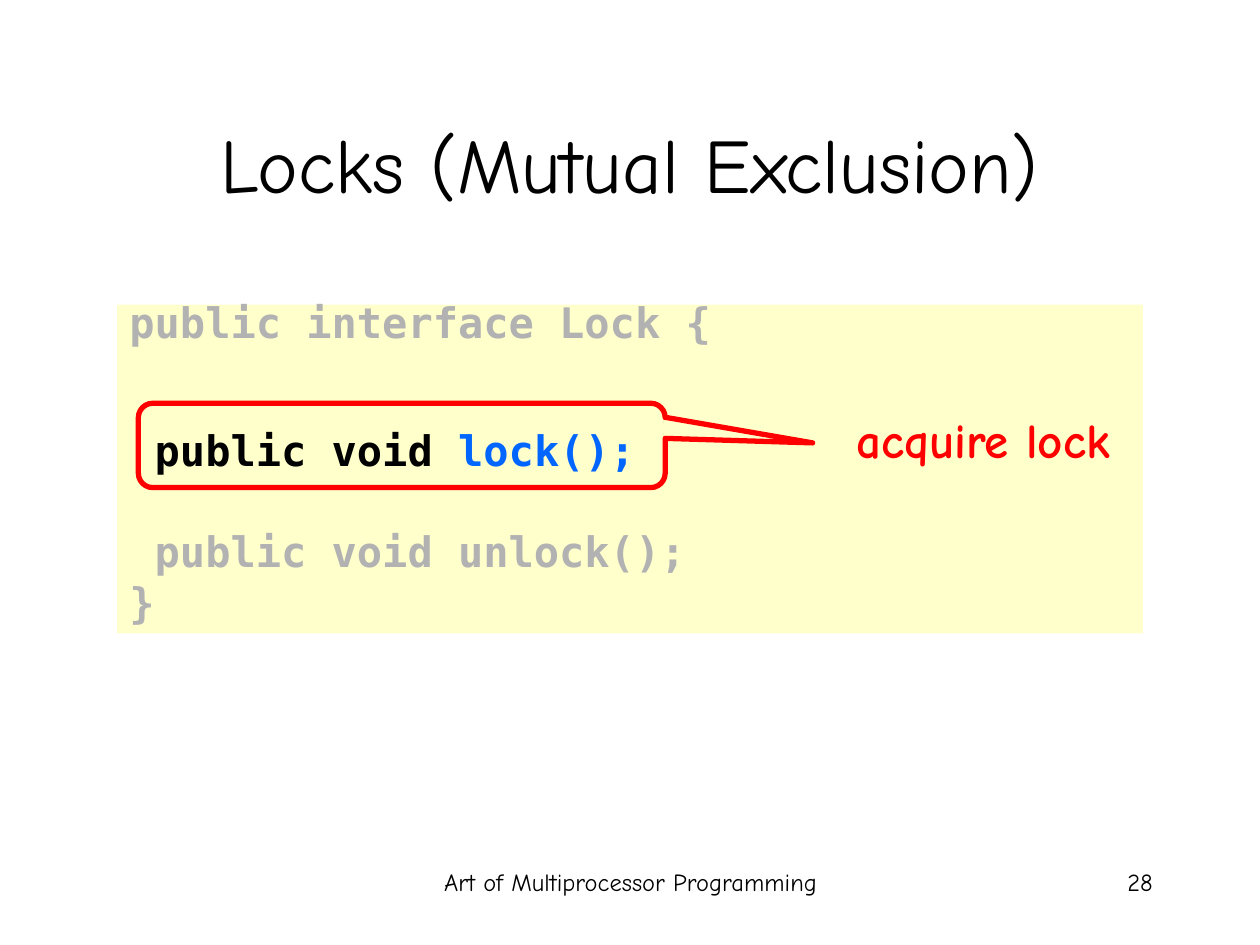
from pptx import Presentation
from pptx.dml.color import RGBColor
from pptx.enum.shapes import MSO_SHAPE
from pptx.enum.text import MSO_ANCHOR, PP_ALIGN
from pptx.util import Cm, Pt

GREY, BLACK, BLUE, RED, CREAM = "B2B2B2", "000000", "0066FF", "FF0000", "FFFFCC"


def rgb(value):
    return RGBColor.from_string(value)


class Deck:
    """Holds the fonts and the slide being drawn."""
    text_font = "Comic Neue"
    code_font = "DejaVu Sans Mono"

    def __init__(self, prs):
        self.s = prs.slides.add_slide(prs.slide_layouts[6])

    def add_run(self, p, text, color, **fmt):
        r = p.add_run()
        r.text = text
        r.font.color.rgb = rgb(color)
        for name, value in fmt.items():
            setattr(r.font, name, value)

    def label(self, text, box, size, align=PP_ALIGN.CENTER, color=BLACK,
              bold=False, anchor=MSO_ANCHOR.TOP):
        tf = self.s.shapes.add_textbox(*map(Cm, box)).text_frame
        tf.word_wrap = True
        tf.vertical_anchor = anchor
        p = tf.paragraphs[0]
        p.alignment = align
        self.add_run(p, text, color, name=self.text_font, size=Pt(size), bold=bold)

    def shape(self, kind, box):
        sp = self.s.shapes.add_shape(kind, *map(Cm, box))
        sp.shadow.inherit = False
        return sp

    def code(self, lines, box):
        """Draw a code panel; each line is (space before, runs)."""
        sp = self.shape(MSO_SHAPE.RECTANGLE, box)
        sp.fill.solid()
        sp.fill.fore_color.rgb = rgb(CREAM)
        sp.line.fill.background()
        tf = sp.text_frame
        tf.word_wrap = True
        tf.vertical_anchor = MSO_ANCHOR.TOP
        for i, (before, runs) in enumerate(lines):
            p = tf.add_paragraph() if i else tf.paragraphs[0]
            fmt = {"alignment": PP_ALIGN.LEFT, "line_spacing": 0.7,
                   "space_before": Pt(before)}
            for name, value in fmt.items():
                setattr(p, name, value)
            for text, color in runs:
                self.add_run(p, text, color, name=self.code_font,
                             size=Pt(24), bold=True)

    def callout(self, box, adjustments):
        sp = self.shape(MSO_SHAPE.ROUNDED_RECTANGULAR_CALLOUT, box)
        sp.fill.background()
        sp.line.color.rgb = rgb(RED)
        sp.line.width = Pt(3)
        for i, value in enumerate(adjustments):
            sp.adjustments[i] = value


def main():
    prs = Presentation()
    prs.slide_width, prs.slide_height = Cm(25.4), Cm(19.05)
    deck = Deck(prs)

    deck.label("Art of Multiprocessor Programming", (8.69, 17.35, 8.05, 1.27), 14)
    deck.label("28", (18.21, 17.35, 5.28, 1.27), 14, PP_ALIGN.RIGHT)
    deck.label("Locks (Mutual Exclusion)", (1.9, 1.7, 21.6, 3.18), 44,
               anchor=MSO_ANCHOR.MIDDLE)
    deck.code([
        (0, [("public interface Lock {", GREY)]),
        (52.5, [(" public void ", BLACK), ("lock();", BLUE)]),
        (38, [(" public void unlock();", GREY)]),
        (9, [("}", GREY)]),
    ], (2.36, 6.14, 20.68, 6.63))
    deck.callout((2.79, 8.13, 10.62, 1.7), (0.78, -0.03, 0.17))
    deck.label("acquire lock", (16.43, 8.13, 6.78, 1.45), 28, color=RED, bold=True)

    prs.save("out.pptx")


if __name__ == "__main__":
    main()
